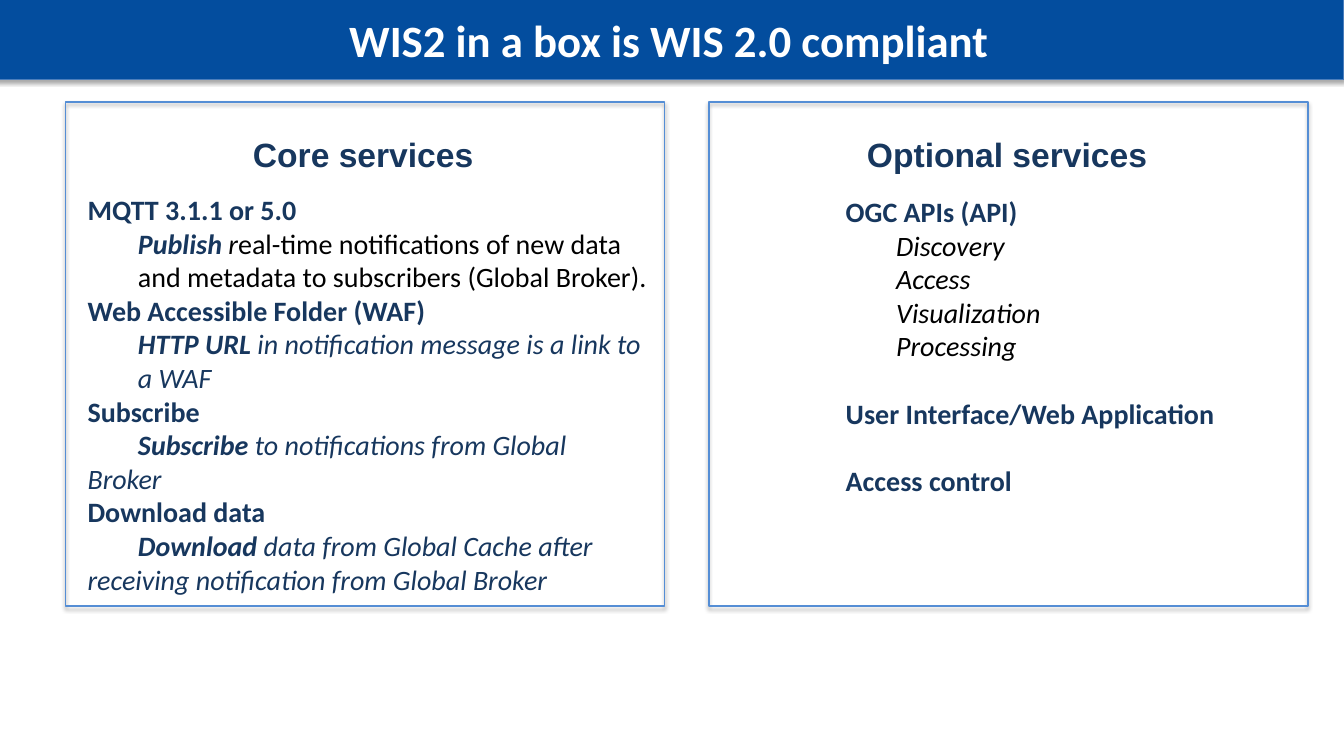
from lxml import etree
from pptx import Presentation
from pptx.dml.color import RGBColor
from pptx.enum.shapes import MSO_SHAPE
from pptx.enum.text import MSO_ANCHOR, MSO_AUTO_SIZE, PP_ALIGN
from pptx.oxml import parse_xml
from pptx.util import Inches, Pt

RECT = MSO_SHAPE.RECTANGLE
MIDDLE = MSO_ANCHOR.MIDDLE
GROW = MSO_AUTO_SIZE.SHAPE_TO_FIT_TEXT
CENTER = PP_ALIGN.CENTER
NAVY, BLACK, WHITE = "17375E", "000000", "FFFFFF"
SHADOW = (
    '<a:outerShdw xmlns:a="http://schemas.openxmlformats.org/drawingml/2006/main"'
    ' blurRad="39370" dist="22860" dir="5400000" rotWithShape="0">'
    '<a:srgbClr val="000000"><a:alpha val="35000"/></a:srgbClr></a:outerShdw>'
)

deck = Presentation()
deck.slide_width, deck.slide_height = Inches(13.33), Inches(7.5)
slide = deck.slides.add_slide(deck.slide_layouts[6])


def add_panel(left, top, width, height, line, weight, fill=None):
    """Add a rectangle with a soft shadow below it."""
    panel = slide.shapes.add_shape(
        RECT, Inches(left), Inches(top), Inches(width), Inches(height))
    if fill:
        panel.fill.solid()
        panel.fill.fore_color.rgb = RGBColor.from_string(fill)
    else:
        panel.fill.background()
    panel.line.color.rgb = RGBColor.from_string(line)
    panel.line.width = Pt(weight)
    panel.shadow.inherit = False
    effects = panel._element.spPr.find("{*}effectLst")
    effects.append(parse_xml(SHADOW))
    return panel


def write(par, runs, size=20, font="Calibri", align=None, margin=0, first=0, before=0):
    """Fill a paragraph with (text, style, colour) runs; style holds b and i."""
    props = par._p.get_or_add_pPr()
    props.set("marL", str(Inches(margin)))
    props.set("indent", str(Inches(first)))
    par.alignment = align
    if before:
        par.space_before = Pt(before)
    for text, style, color in runs:
        for num, part in enumerate(text.split("\n")):
            if num:
                par.add_line_break()
            run = par.add_run()
            run.text = part
            run.font.size, run.font.name = Pt(size), font
            run.font.bold, run.font.italic = "b" in style, "i" in style
            run.font.color.rgb = RGBColor.from_string(color)


banner = add_panel(-0.06, -0.01, 13.39, 0.8, "4B7EBC", 0.75, "034D9E")
banner.text_frame.vertical_anchor = MIDDLE
write(banner.text_frame.paragraphs[0],
      [("WIS2 in a box is WIS 2.0 compliant", "b", WHITE)], size=32, align=CENTER)

for left in (0.65, 7.03):
    add_panel(left, 1.01, 5.94, 5, "558ED5", 1.25)

for text, left, width in (("Core services", 2.41, 2.41), ("Optional services", 8.5, 3.01)):
    box = slide.shapes.add_textbox(Inches(left), Inches(1.28), Inches(width), Inches(0.5))
    box.text_frame.word_wrap = False
    box.text_frame.auto_size = GROW
    write(box.text_frame.paragraphs[0], [(text, "b", NAVY)], size=24, font="Arial")

nested = {"margin": 0.5}
hang = {"first": 0.5}
apart = {"before": 24}

core = [
    ([("MQTT 3.1.1 or 5.0", "b", NAVY)], {}),
    ([("Publish", "bi", NAVY), (" r", "i", BLACK),
      ("eal-time notifications of new data and metadata to subscribers (Global Broker).",
       "", BLACK)], nested),
    ([("Web Accessible Folder (WAF)", "b", NAVY)], {}),
    ([("HTTP URL", "bi", NAVY),
      (" in notification message is a link to a WAF", "i", NAVY)], nested),
    ([("Subscribe", "b", NAVY)], {}),
    ([("Subscribe", "bi", NAVY),
      (" to notifications from Global\nBroker", "i", NAVY)], hang),
    ([("Download data", "b", NAVY)], {}),
    ([("Download", "bi", NAVY),
      (" data from Global Cache after\nreceiving notification from Global Broker",
       "i", NAVY)], hang),
]
steps = ("Discovery", "Access", "Visualization", "Processing")
options = [
    ([("OGC APIs (API)", "b", NAVY)], {}),
    *[([(step, "i", BLACK)], nested) for step in steps],
    ([("User Interface/Web Application", "b", NAVY)], apart),
    ([("Access control", "b", NAVY)], apart),
]

for items, left, top, width, height in (
        (options, 8.29, 1.88, 4.03, 4.14), (core, 0.77, 1.86, 5.82, 4.54)):
    box = slide.shapes.add_textbox(Inches(left), Inches(top), Inches(width), Inches(height))
    frame = box.text_frame
    frame.word_wrap = True
    frame.auto_size = GROW
    for num, (runs, look) in enumerate(items):
        write(frame.add_paragraph() if num else frame.paragraphs[0], runs, **look)

deck.save("out.pptx")
